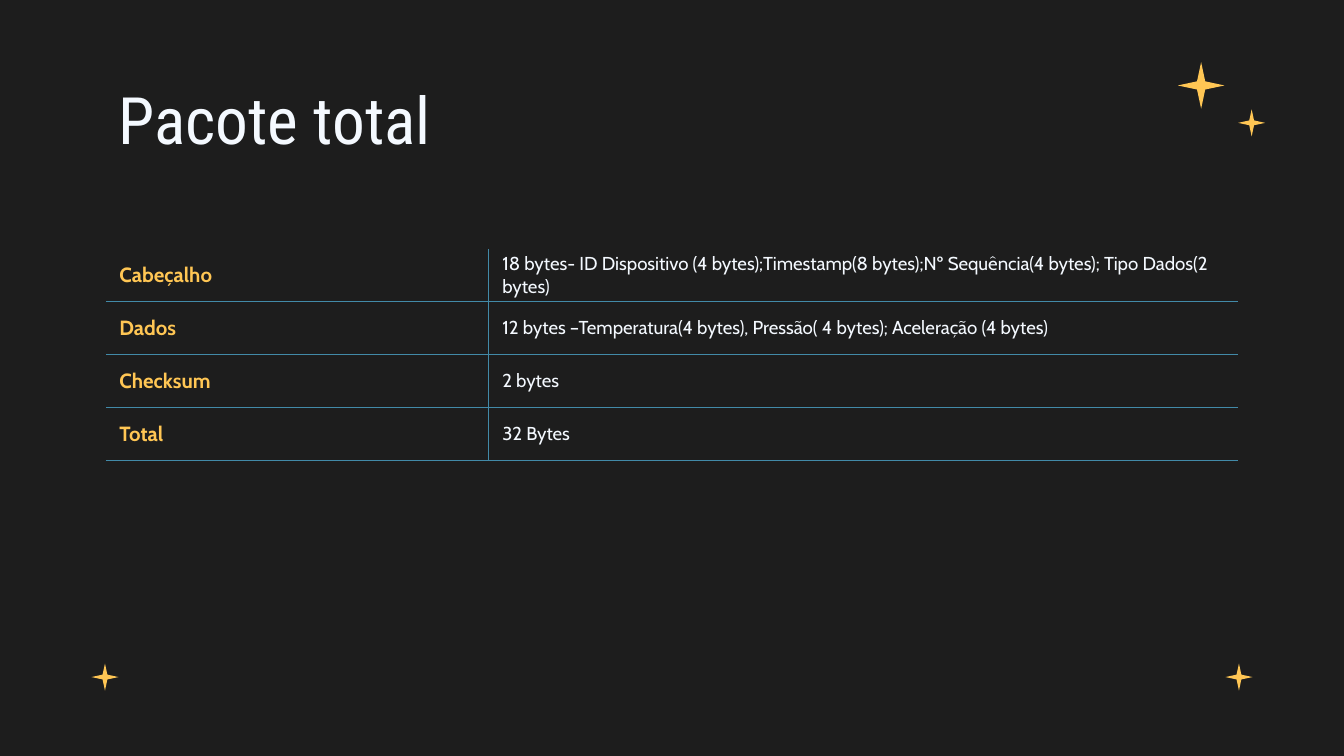
import lxml.etree
import pptx
import pptx.dml.color
import pptx.enum.shapes
import pptx.enum.text
import pptx.oxml.ns
import pptx.util

Pt = pptx.util.Pt


class Theme:
    """Hold the colours, fonts and type sizes."""
    back, gold, pale, rule = "1D1D1D", "FFC654", "F4F9FF", "428AA8"
    line = 0.75
    title = {"name": "Roboto Condensed", "size": Pt(35), "bold": False}
    label = {"name": "Cabin", "size": Pt(11), "bold": True}
    body = {"name": "Cabin", "size": Pt(10), "bold": False}


ROWS = [
    ("Cabeçalho", "18 bytes- ID Dispositivo (4 bytes);Timestamp(8 bytes);"
                  "Nº Sequência(4 bytes); Tipo Dados(2 bytes)"),
    ("Dados", "12 bytes –Temperatura(4 bytes), Pressão( 4 bytes); Aceleração (4 bytes)"),
    ("Checksum", "2 bytes"),
    ("Total", "32 Bytes"),
]
STARS = [(49, 355.5, 14.5), (656.5, 355.5, 14.5), (631, 33.3, 25), (663.3, 58.6, 14.5)]


def paint(hue):
    """Turn a hex string into a colour."""
    return pptx.dml.color.RGBColor.from_string(hue)


def apply(item, values):
    """Set each named value on an object."""
    for key, value in values.items():
        setattr(item, key, value)


def write(frame, text, font, hue):
    """Put one styled run in a text frame."""
    run = frame.paragraphs[0].add_run()
    run.text = text
    apply(run.font, font)
    run.font.color.rgb = paint(hue)


def add_star(slide, left, top, size):
    """Draw a gold star in a square box."""
    star = slide.shapes.add_shape(
        pptx.enum.shapes.MSO_SHAPE.STAR_4_POINT, Pt(left), Pt(top), Pt(size), Pt(size))
    star.adjustments[0] = 0.125
    star.shadow.inherit = False
    star.fill.solid()
    star.fill.fore_color.rgb = paint(Theme.gold)
    star.line.fill.background()


def add_title(slide, left, top, width, height):
    """Write the heading in its box."""
    frame = slide.shapes.add_textbox(Pt(left), Pt(top), Pt(width), Pt(height)).text_frame
    sides = ("left", "top", "right", "bottom")
    apply(frame, {f"margin_{side}": Pt(7.2) for side in sides})
    apply(frame, {"word_wrap": True, "vertical_anchor": pptx.enum.text.MSO_ANCHOR.TOP})
    write(frame, "Pacote total", Theme.title, Theme.pale)


def edge(cell, sides):
    """Rule the given sides of a cell and clear the rest."""
    cell.fill.background()
    props = cell._tc.get_or_add_tcPr()
    qn = pptx.oxml.ns.qn
    for spot, side in enumerate("LRTB"):
        line = lxml.etree.Element(qn(f"a:ln{side}"), w=str(Pt(Theme.line)))
        if side in sides:
            fill = lxml.etree.SubElement(line, qn("a:solidFill"))
            lxml.etree.SubElement(fill, qn("a:srgbClr"), val=Theme.rule)
        else:
            lxml.etree.SubElement(line, qn("a:noFill"))
        props.insert(spot, line)


def add_grid(slide, left, top, width, step, foot):
    """Lay out the packet table with a merged foot row."""
    count = len(ROWS)
    grid = slide.shapes.add_table(
        count + 1, 2, Pt(left), Pt(top), Pt(width), Pt(step * count + foot)).table
    apply(grid, {"first_row": False, "horz_banding": False})
    first = 205.2
    grid.columns[0].width, grid.columns[1].width = Pt(first), Pt(width - first)
    for row in grid.rows:
        row.height = Pt(step)
    grid.rows[count].height = Pt(foot)
    looks = ((Theme.label, Theme.gold, 0), (Theme.body, Theme.pale, 16))
    for y, texts in enumerate(ROWS):
        for x, (text, (font, hue, after)) in enumerate(zip(texts, looks)):
            cell = grid.cell(y, x)
            apply(cell, {"margin_left": Pt(7.2), "margin_right": Pt(7.2),
                         "margin_top": 0, "margin_bottom": 0,
                         "vertical_anchor": pptx.enum.text.MSO_ANCHOR.MIDDLE})
            write(cell.text_frame, text, font, hue)
            cell.text_frame.paragraphs[0].space_after = Pt(after)
            edge(cell, "RL"[x] + "B" + ("T" if y else ""))
    grid.cell(count, 0).merge(grid.cell(count, 1))
    for x in range(2):
        edge(grid.cell(count, x), "T")


def main():
    """Build the slide and save it."""
    deck = pptx.Presentation()
    apply(deck, {"slide_width": Pt(720), "slide_height": Pt(405)})
    slide = deck.slides.add_slide(deck.slide_layouts[6])
    slide.background.fill.solid()
    slide.background.fill.fore_color.rgb = paint(Theme.back)
    for box in STARS:
        add_star(slide, *box)
    add_title(slide, 56.4, 35.3, 607.2, 45.4)
    add_grid(slide, 56.7, 133.3, 606.6, 28.4, 57)
    deck.save("out.pptx")


if __name__ == "__main__":
    main()
